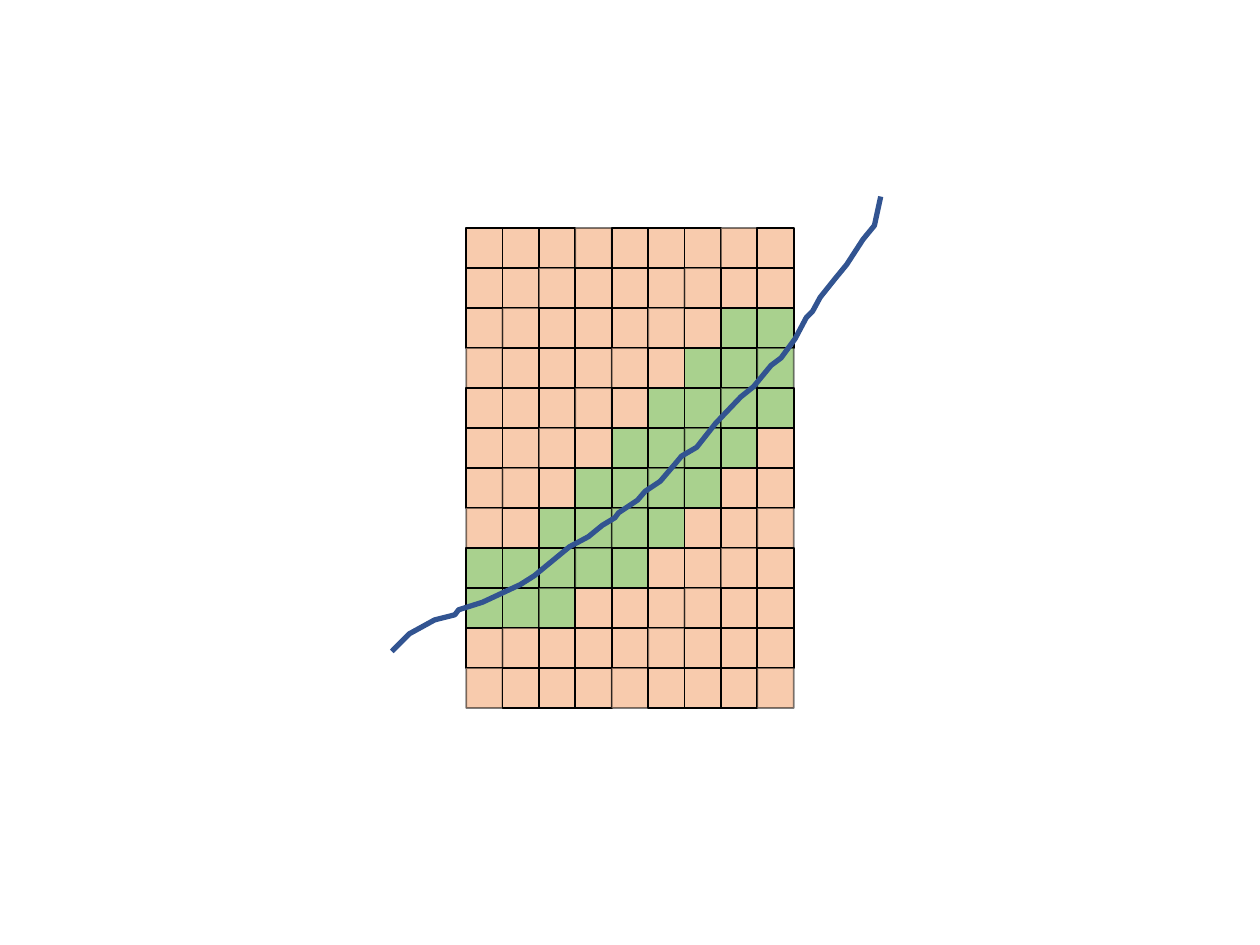
"""Build a slide with a grid of cells, a highlighted diagonal band and a curve along it."""
from itertools import product

from lxml.etree import SubElement
from pptx import Presentation
from pptx.dml.color import RGBColor
from pptx.enum.shapes import MSO_SHAPE as Preset
from pptx.oxml.ns import qn
from pptx.util import Inches, Pt

COLORS = {"cell": "F8CBAD", "band": "A9D18E", "border": "000000", "curve": "325491"}

ROWS, COLUMNS = 12, 9
GRID_LEFT, GRID_TOP = 3.7, 1.81
GRID_WIDTH, GRID_HEIGHT = 2.6, 3.81
CELL_WIDTH, CELL_HEIGHT = GRID_WIDTH / COLUMNS, GRID_HEIGHT / ROWS

BAND_TOP_ROW, BAND_DIAGONAL, BAND_LENGTH = 2, 9, 4
BAND_FOOT = {8: range(0, 5), 9: range(0, 3)}
FADE_PERIOD, FADE_PHASE = 4, 3

CURVE_BELOW_GRID = [(3.11, 5.17), (3.25, 5.03), (3.45, 4.92), (3.61, 4.88)]
CURVE_IN_GRID = [
    (3.64, 4.84), (3.83, 4.78), (4.13, 4.64), (4.24, 4.57), (4.52, 4.34),
    (4.67, 4.26), (4.78, 4.17), (4.88, 4.11), (4.91, 4.07), (5.06, 3.97),
    (5.12, 3.9), (5.24, 3.82), (5.36, 3.68), (5.41, 3.62), (5.53, 3.55),
    (5.68, 3.36), (5.88, 3.15), (5.98, 3.07), (6.12, 2.9), (6.2, 2.84),
]
CURVE_ABOVE_GRID = [
    (6.31, 2.69), (6.4, 2.52), (6.45, 2.47), (6.51, 2.36), (6.63, 2.21),
    (6.72, 2.1), (6.85, 1.9), (6.94, 1.79), (6.99, 1.56),
]


def band_columns(row):
    """Return the band's columns in a row: one step left for each row down."""
    if row in BAND_FOOT:
        return BAND_FOOT[row]
    if BAND_TOP_ROW <= row < min(BAND_FOOT):
        first = BAND_DIAGONAL - row
        return range(first, min(first + BAND_LENGTH, COLUMNS))
    return range(0)


def is_faded(row, column):
    """Tell whether a cell is on one of the evenly spaced faded diagonals."""
    return (row + column) % FADE_PERIOD == FADE_PHASE


def style_line(shape, color, width):
    """Set a solid outline and remove the shadow."""
    shape.shadow.inherit = False
    shape.line.color.rgb = RGBColor.from_string(COLORS[color])
    shape.line.width = Pt(width)


def fade_line(shape):
    """Make the outline half transparent."""
    outline = next(shape.element.iter(qn("a:ln")))
    color = next(outline.iter(qn("a:srgbClr")))
    SubElement(color, qn("a:alpha")).set("val", "50000")


def add_cell(slide, row, column):
    """Add one grid cell, coloured by whether it lies in the band."""
    left, top = GRID_LEFT + column * CELL_WIDTH, GRID_TOP + row * CELL_HEIGHT
    shape = slide.shapes.add_shape(
        Preset.RECTANGLE, Inches(left), Inches(top),
        Inches(CELL_WIDTH), Inches(CELL_HEIGHT))
    color = COLORS["band" if column in band_columns(row) else "cell"]
    shape.fill.solid()
    shape.fill.fore_color.rgb = RGBColor.from_string(color)
    style_line(shape, "border", 1)
    if is_faded(row, column):
        fade_line(shape)


def add_curve(slide, points):
    """Draw an open line through the points."""
    start, *rest = [(Inches(x), Inches(y)) for x, y in points]
    builder = slide.shapes.build_freeform(*start)
    builder.add_line_segments(rest, close=False)
    shape = builder.convert_to_shape()
    shape.fill.background()
    style_line(shape, "curve", 3)


def main():
    """Create the presentation and save it."""
    presentation = Presentation()
    presentation.slide_width, presentation.slide_height = Inches(10), Inches(7.5)
    slide = presentation.slides.add_slide(presentation.slide_layouts[6])
    for row, column in product(range(ROWS), range(COLUMNS)):
        add_cell(slide, row, column)
    add_curve(slide, CURVE_BELOW_GRID + CURVE_IN_GRID + CURVE_ABOVE_GRID)
    presentation.save("out.pptx")


if __name__ == "__main__":
    main()
